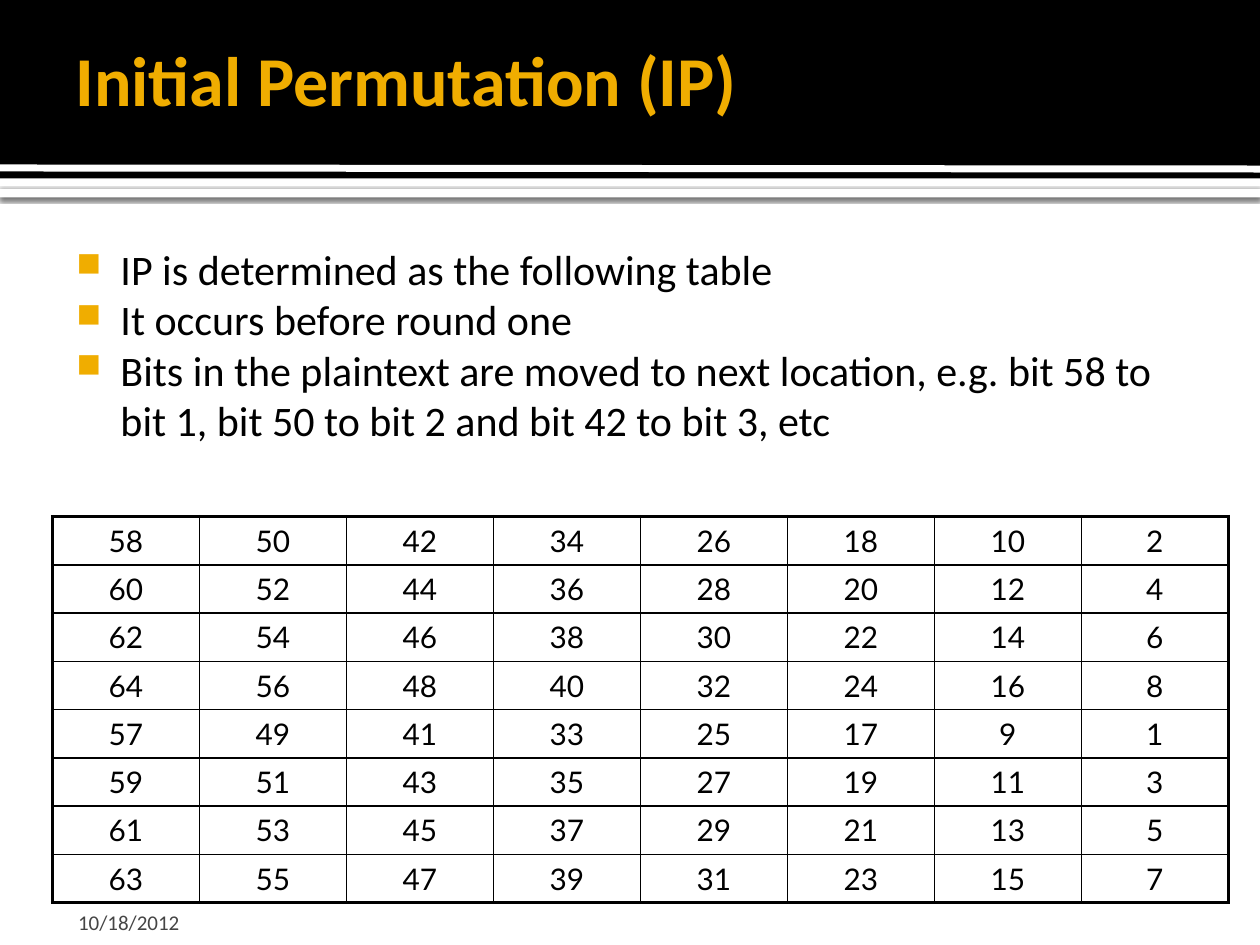
from lxml.etree import SubElement
from pptx import Presentation
from pptx.dml.color import RGBColor
from pptx.enum.shapes import MSO_CONNECTOR, MSO_SHAPE
from pptx.enum.text import MSO_ANCHOR, PP_ALIGN
from pptx.oxml.ns import qn
from pptx.util import Inches, Pt

COLORS = {"black": "000000", "white": "FFFFFF", "gold": "F0AD00", "grey": "454545"}


class SlideBuilder:
    """Style and current slide; lengths are in grid units, 12 to the inch."""

    font = "Calibri"
    table_font = "Lato"

    def __init__(self, prs):
        self.slide = prs.slides.add_slide(prs.slide_layouts[5])

    def box(self, *units):
        return [Inches(u / 12) for u in units]

    def color(self, name):
        return RGBColor.from_string(COLORS[name])

    def solid(self, parent, name):
        fill = SubElement(parent, qn("a:solidFill"))
        return SubElement(fill, qn("a:srgbClr"), val=COLORS[name])

    def run(self, p, text, size, color, bold=False, font=None):
        r = p.add_run()
        r.text = text
        r.font.name = font or self.font
        r.font.size = Pt(size)
        r.font.bold = bold
        r.font.color.rgb = self.color(color)

    def frame(self, sp, anchor, insets):
        tf = sp.text_frame
        tf.word_wrap = True
        tf.vertical_anchor = anchor
        (tf.margin_left, tf.margin_top,
         tf.margin_right, tf.margin_bottom) = [Inches(i) for i in insets]
        return tf

    def band(self, at, color, shadow=False):
        sp = self.slide.shapes.add_shape(MSO_SHAPE.RECTANGLE, *self.box(*at))
        sp.shadow.inherit = False
        sp.fill.solid()
        sp.fill.fore_color.rgb = self.color(color)
        sp.line.fill.background()
        if shadow:
            effects = sp._element.spPr.find(qn("a:effectLst"))
            outer = SubElement(effects, qn("a:outerShdw"), blurRad=str(Pt(2.5)),
                               dist=str(Pt(0.8)), dir=str(90 * 60000), rotWithShape="0")
            tint = SubElement(outer, qn("a:srgbClr"), val=COLORS["black"])
            SubElement(tint, qn("a:alpha"), val="60000")

    def line(self, ends, color, width):
        cn = self.slide.shapes.add_connector(MSO_CONNECTOR.STRAIGHT, *self.box(*ends))
        cn.line.color.rgb = self.color(color)
        cn.line.width = Pt(width)
        SubElement(cn._element.spPr, qn("a:effectLst"))

    def title(self, text, at):
        sp = self.slide.shapes.title
        sp.left, sp.top, sp.width, sp.height = self.box(*at)
        tf = self.frame(sp, MSO_ANCHOR.MIDDLE, (0.1, 0.05, 0.05, 0.05))
        p = tf.paragraphs[0]
        p.alignment = PP_ALIGN.LEFT
        self.run(p, text, 40, "gold", bold=True)

    def text(self, text, at, size, color, anchor, insets):
        sp = self.slide.shapes.add_textbox(*self.box(*at))
        tf = self.frame(sp, anchor, insets)
        self.run(tf.paragraphs[0], text, size, color)

    def bullets(self, items, at):
        sp = self.slide.shapes.add_textbox(*self.box(*at))
        tf = self.frame(sp, MSO_ANCHOR.TOP, (0.06, 0.1, 0.1, 0.05))
        for i, item in enumerate(items):
            p = tf.add_paragraph() if i else tf.paragraphs[0]
            pPr = p._p.get_or_add_pPr()
            pPr.set("marL", str(Inches(0.48)))
            pPr.set("indent", str(Inches(-0.35)))
            mark = SubElement(pPr, qn("a:buClr"))
            SubElement(mark, qn("a:srgbClr"), val=COLORS["gold"])
            SubElement(pPr, qn("a:buSzPct"), val="80000")
            SubElement(pPr, qn("a:buChar"), char="■")
            self.run(p, item, 24, "black")

    def border(self, cell, side, width):
        ln = SubElement(cell._tc.get_or_add_tcPr(), qn(f"a:ln{side}"), w=str(Pt(width)))
        self.solid(ln, "black")

    def table(self, rows, at):
        n_rows, n_cols = len(rows), len(rows[0])
        x, y, w, h = self.box(*at)
        table = self.slide.shapes.add_table(n_rows, n_cols, x, y, w, h).table
        table.first_row = table.horz_banding = False
        for r, values in enumerate(rows):
            table.rows[r].height = h // n_rows
            for c, value in enumerate(values):
                cell = table.cell(r, c)
                cell.vertical_anchor = MSO_ANCHOR.MIDDLE
                cell.margin_left = cell.margin_right = 0
                cell.margin_top = cell.margin_bottom = 0
                p = cell.text_frame.paragraphs[0]
                p.alignment = PP_ALIGN.CENTER
                self.run(p, str(value), 17, "black", font=self.table_font)
                # Heavy outer frame, thin inner grid
                outer = {"L": c == 0, "R": c == n_cols - 1,
                         "T": r == 0, "B": r == n_rows - 1}
                for side, is_outer in outer.items():
                    self.border(cell, side, 2.25 if is_outer else 1)
                cell.fill.background()


def main():
    prs = Presentation()
    prs.slide_width, prs.slide_height = Inches(10), Inches(7.5)
    s = SlideBuilder(prs)

    # Header bands
    s.band((0, 18, 120, 0.8), "white", shadow=True)
    s.band((0, 0, 120, 17), "black")
    s.line((0, 16, 120, 16.1), "white", 4)

    # Permutation table: even bits first, each row steps down by 8
    starts = [*range(58, 65, 2), *range(57, 64, 2)]
    s.table([[start - 8 * c for c in range(8)] for start in starts],
            (5, 49.2, 112, 36.8))

    # Date
    s.text("10/18/2012", (6, 85.4, 28, 3.6), 12, "grey",
           MSO_ANCHOR.BOTTOM, (0.12, 0.05, 0.05, 0))

    # Title and bullets
    s.title("Initial Permutation (IP)", (6, 1, 99, 13))
    # The title belongs above the header bands
    tree = s.slide.shapes._spTree
    tree.append(s.slide.shapes.title._element)
    s.bullets([
        "IP is determined as the following table",
        "It occurs before round one",
        "Bits in the plaintext are moved to next location, e.g. bit 58 to "
        "bit 1, bit 50 to bit 2 and bit 42 to bit 3, etc",
    ], (5, 22, 111, 23.8))

    prs.save("out.pptx")


if __name__ == "__main__":
    main()
